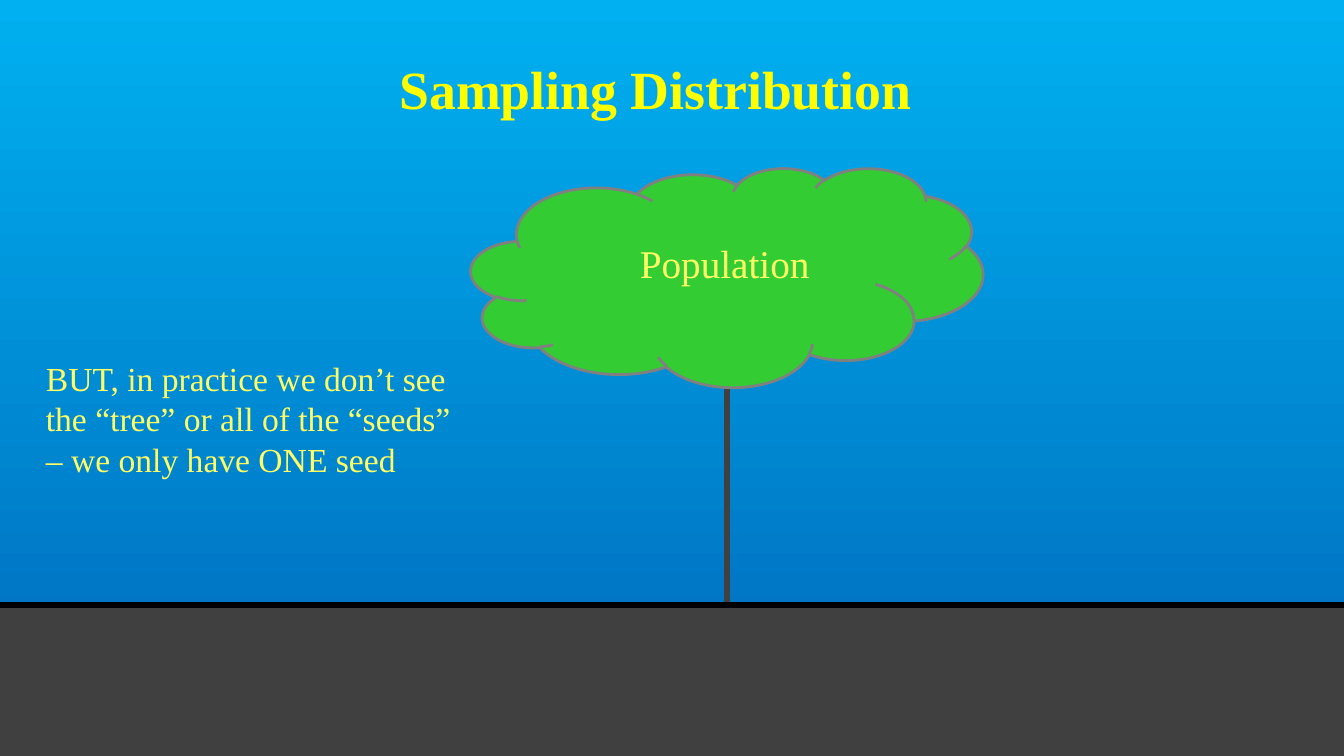
"""Build the sampling distribution slide with its tree, ground and notes."""
import pptx
import pptx.util
import pptx.dml.color
import pptx.enum.shapes
import pptx.enum.text
import pptx.oxml.ns
import lxml.etree

WIDE, HIGH = 1344, 756
UNIT = 12192000 / WIDE
FONT = "Times New Roman"
HUES = {
    "sky": "00B0F0", "deep": "0070C0", "earth": "404040", "black": "000000",
    "leaf": "33CC33", "edge": "808080", "title": "FFFF00", "text": "FFFF66",
}
TITLE = ("Sampling Distribution", (202, 25, 907, 126), 38.4)
TRUNK = ((727, 386), (727, 605), "earth")
LEVEL = ((-8, 605), (WIDE, 605), "black")
GROUND = (0, 605, WIDE, 761 - 605)
CROWN = (471, 168, 512, 219)
LABELS = [
    ("Population", (630, 234, 227, 57), 28),
    ("BUT, in practice we don’t see the “tree” or all of the “seeds” "
     "– we only have ONE seed", (36, 353, 434, 132), 24),
]


def px(*nums):
    return [pptx.util.Emu(round(num * UNIT)) for num in nums]


def hue(name):
    return pptx.dml.color.RGBColor.from_string(HUES[name])


def paint_sky(slide):
    fill = slide.background.fill
    fill.gradient()
    fill.gradient_angle = 270
    for stop, name, spot in zip(fill.gradient_stops, ("sky", "deep"), (0, 0.9)):
        stop.color.rgb = hue(name)
        stop.position = spot


def add_line(slide, start, end, name):
    line = slide.shapes.add_connector(
        pptx.enum.shapes.MSO_CONNECTOR.STRAIGHT, *px(*start, *end))
    line.line.color.rgb = hue(name)
    line.line.width = pptx.util.Pt(4.5)
    lxml.etree.SubElement(line._element.spPr, pptx.oxml.ns.qn("a:effectLst"))


def add_form(slide, kind, box, name, edge=None):
    form = slide.shapes.add_shape(kind, *px(*box))
    form.shadow.inherit = False
    form.fill.solid()
    form.fill.fore_color.rgb = hue(name)
    if edge:
        form.line.color.rgb = hue(edge)
        form.line.width = pptx.util.Pt(2)
    else:
        form.line.fill.background()


def add_run(para, text, size, name, bold=False):
    run = para.add_run()
    run.text = text
    run.font.name = FONT
    run.font.size = pptx.util.Pt(size)
    run.font.bold = bold
    run.font.color.rgb = hue(name)


def set_title(slide):
    text, box, size = TITLE
    head = slide.shapes.title
    head.left, head.top, head.width, head.height = px(*box)
    head.text_frame.vertical_anchor = pptx.enum.text.MSO_ANCHOR.MIDDLE
    para = head.text_frame.paragraphs[0]
    para.alignment = pptx.enum.text.PP_ALIGN.CENTER
    add_run(para, text, size, "title", True)


def add_label(slide, text, box, size):
    frame = slide.shapes.add_textbox(*px(*box)).text_frame
    frame.word_wrap = True
    frame.auto_size = pptx.enum.text.MSO_AUTO_SIZE.SHAPE_TO_FIT_TEXT
    para = frame.paragraphs[0]
    para.space_before = pptx.util.Pt(2)
    add_run(para, text, size, "text")


def main():
    deck = pptx.Presentation()
    deck.slide_width, deck.slide_height = px(WIDE, HIGH)
    slide = deck.slides.add_slide(deck.slide_layouts[5])
    shapes = pptx.enum.shapes.MSO_SHAPE
    paint_sky(slide)
    add_line(slide, *TRUNK)
    add_form(slide, shapes.RECTANGLE, GROUND, "earth")
    set_title(slide)
    add_line(slide, *LEVEL)
    add_form(slide, shapes.CLOUD, CROWN, "leaf", "edge")
    for label in LABELS:
        add_label(slide, *label)
    deck.save("out.pptx")


if __name__ == "__main__":
    main()
